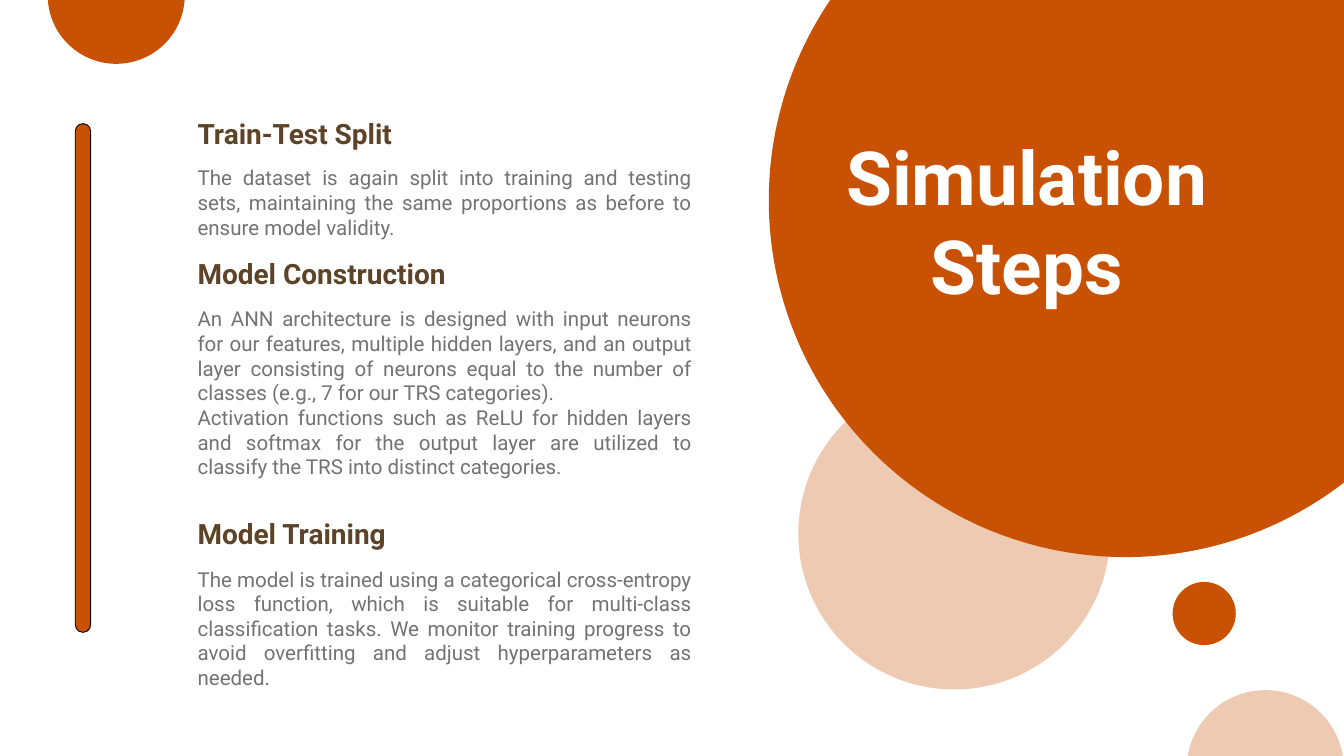
from pptx import Presentation
from pptx.dml.color import RGBColor
from pptx.enum.shapes import MSO_SHAPE
from pptx.enum.text import MSO_ANCHOR, MSO_AUTO_SIZE, PP_ALIGN
from pptx.oxml.ns import qn
from pptx.util import Inches, Pt
from lxml import etree

OVAL, ROUNDED = MSO_SHAPE.OVAL, MSO_SHAPE.ROUNDED_RECTANGLE
TOP, NO_FIT = MSO_ANCHOR.TOP, MSO_AUTO_SIZE.NONE
LEFT, CENTER, JUSTIFY = PP_ALIGN.LEFT, PP_ALIGN.CENTER, PP_ALIGN.JUSTIFY
ORANGE, BROWN, GREY, WHITE, BLACK = "C85103", "5D4429", "737373", "FFFFFF", "000000"


def rgb(value):
    return RGBColor.from_string(value)


def write(sp, box, paragraphs, size, color, bold, align):
    sp.left, sp.top, sp.width, sp.height = [Inches(v) for v in box]
    tf = sp.text_frame
    tf.word_wrap, tf.auto_size, tf.vertical_anchor = True, NO_FIT, TOP
    tf.margin_left = tf.margin_top = tf.margin_right = tf.margin_bottom = 0
    for i, text in enumerate(paragraphs):
        p = tf.add_paragraph() if i else tf.paragraphs[0]
        p.alignment = align
        p.line_spacing = Pt(size * 1.2)
        p.space_before = Pt(0)
        r = p.add_run()
        r.text = text
        r.font.name, r.font.size, r.font.bold = "Roboto", Pt(size), bold
        r.font.color.rgb = rgb(color)


prs = Presentation()
prs.slide_width, prs.slide_height = Inches(20), Inches(11.25)
s = prs.slides.add_slide(prs.slide_layouts[5])
s.background.fill.solid()
s.background.fill.fore_color.rgb = rgb(WHITE)

# Circles: left, top, diameter, opacity in percent
circles = [
    (11.88, 5.62, 4.64, 30),
    (11.44, -2.33, 10.62, 100),
    (17.66, 10.27, 2.34, 30),
    (0.71, -1.09, 2.04, 100),
    (17.45, 8.66, 0.94, 100),
]
for left, top, size, opacity in circles:
    sp = s.shapes.add_shape(OVAL, Inches(left), Inches(top), Inches(size), Inches(size))
    sp.shadow.inherit = False
    sp.fill.solid()
    sp.fill.fore_color.rgb = rgb(ORANGE)
    sp.line.fill.background()
    if opacity < 100:
        color = sp.element.spPr.find(".//" + qn("a:srgbClr"))
        etree.SubElement(color, qn("a:alpha")).set("val", str(opacity * 1000))

# Vertical bar
bar = s.shapes.add_shape(ROUNDED, Inches(1.12), Inches(1.84), Inches(0.23), Inches(7.57))
bar.adjustments[0] = 0.5
bar.shadow.inherit = False
bar.fill.solid()
bar.fill.fore_color.rgb = rgb(ORANGE)
bar.line.color.rgb = rgb(BLACK)
bar.line.width = Pt(1)

# Title, brought in front of the large circle
title = s.shapes.title
s.shapes.element.append(title.element)
write(title, (12.26, 1.94, 6.04, 2.69), ["Simulation Steps"], 80, WHITE, True, CENTER)

# Steps: heading, heading top, text top, text height, paragraphs
steps = [
    ("Train-Test Split", 1.73, 2.46, 1.12, [
        "The dataset is again split into training and testing sets, maintaining "
        "the same proportions as before to ensure model validity."]),
    ("Model Construction", 3.82, 4.56, 2.58, [
        "An ANN architecture is designed with input neurons for our features, "
        "multiple hidden layers, and an output layer consisting of neurons equal "
        "to the number of classes (e.g., 7 for our TRS categories).",
        "Activation functions such as ReLU for hidden layers and softmax for the "
        "output layer are utilized to classify the TRS into distinct categories."]),
    ("Model Training", 7.68, 8.43, 1.85, [
        "The model is trained using a categorical cross-entropy loss function, "
        "which is suitable for multi-class classification tasks. We monitor "
        "training progress to avoid overfitting and adjust hyperparameters as "
        "needed."]),
]
for heading, heading_top, text_top, text_height, paragraphs in steps:
    write(s.shapes.add_textbox(0, 0, 0, 0), (2.94, heading_top, 6.6, 0.52),
          [heading], 30, BROWN, True, LEFT)
    write(s.shapes.add_textbox(0, 0, 0, 0), (2.94, text_top, 7.35, text_height),
          paragraphs, 22, GREY, False, JUSTIFY)

prs.save("out.pptx")
